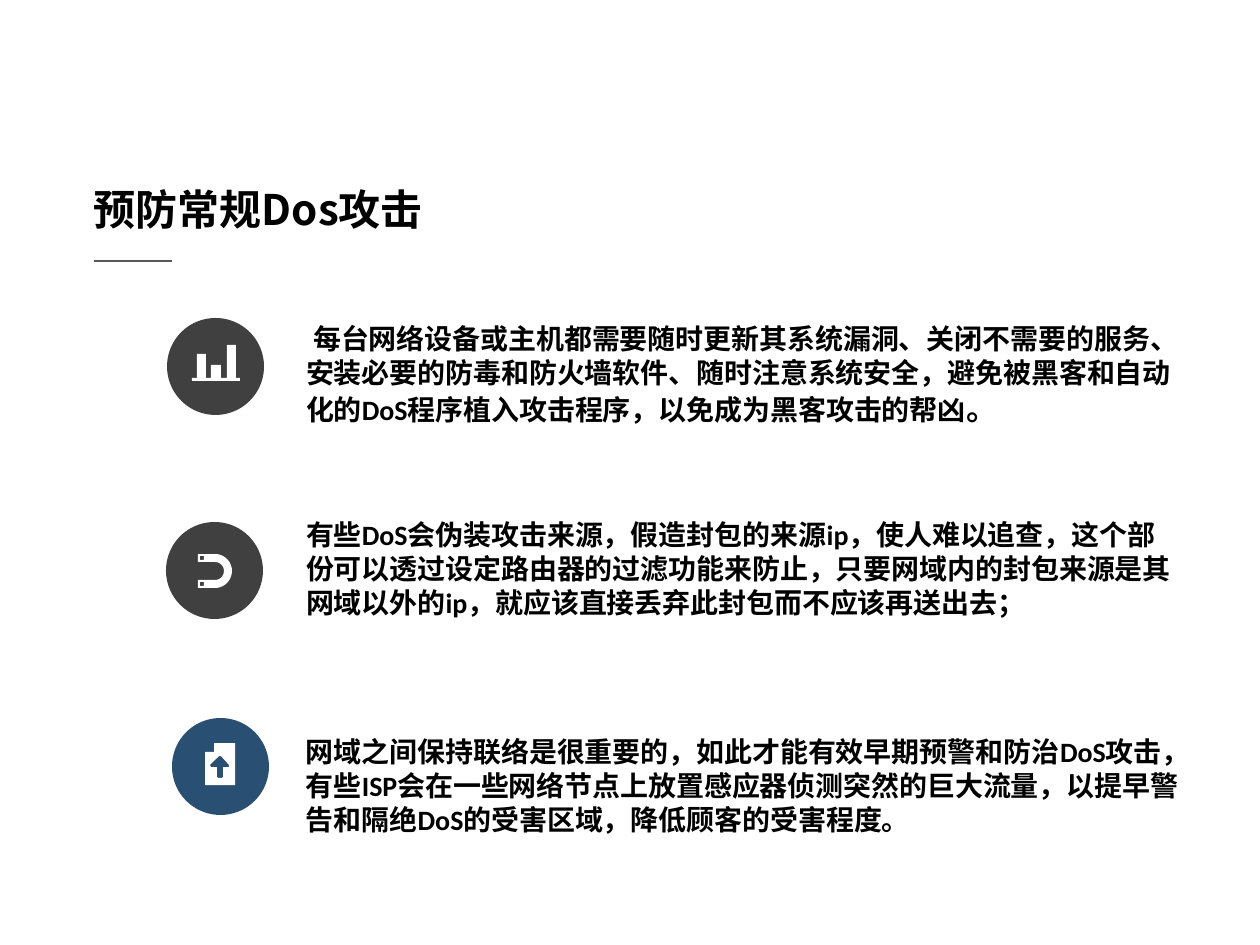
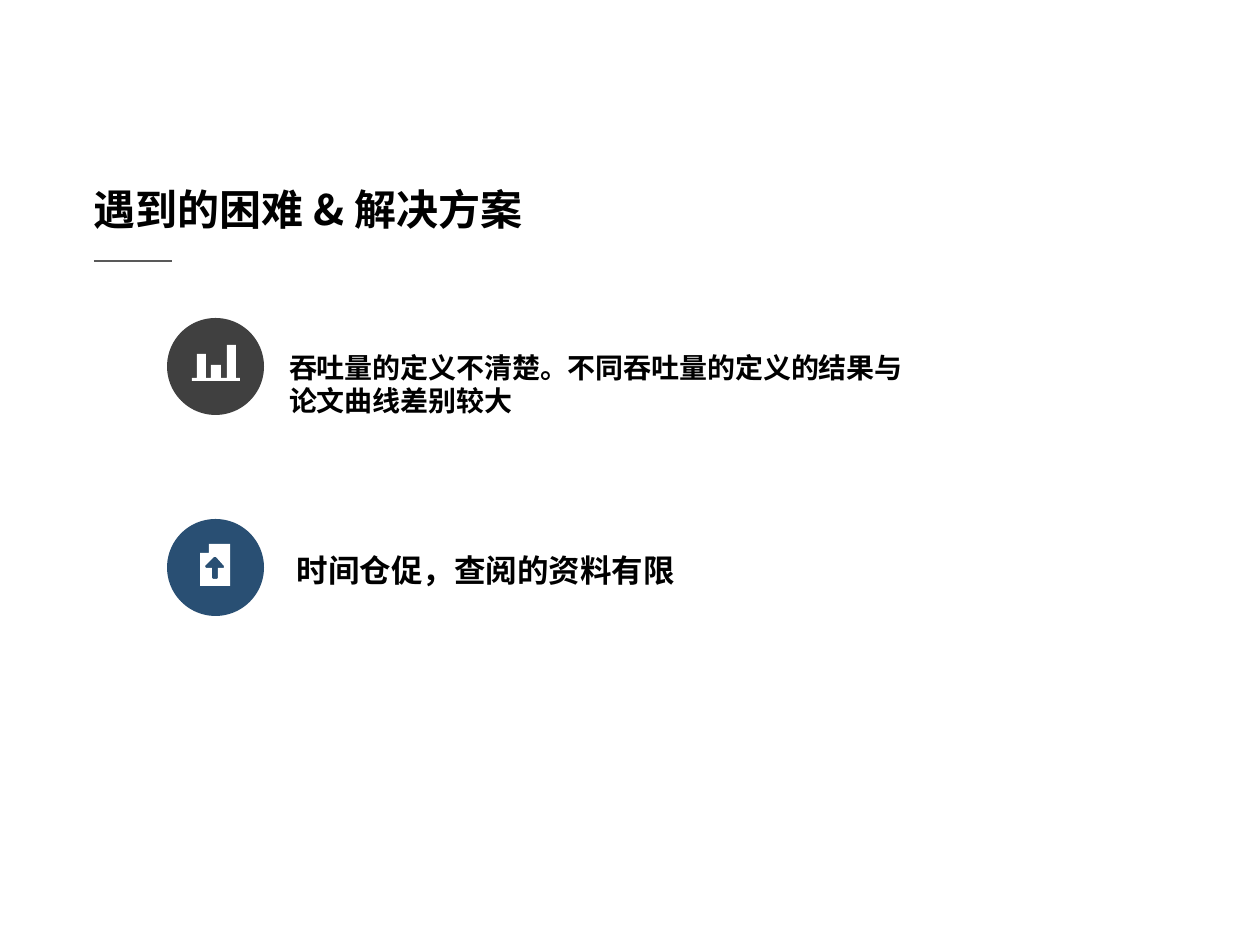
from math import cos, pi, sin

from lxml.etree import SubElement
from pptx import Presentation
from pptx.dml.color import RGBColor
from pptx.enum.shapes import MSO_CONNECTOR, MSO_SHAPE
from pptx.enum.text import MSO_ANCHOR, MSO_AUTO_SIZE, PP_ALIGN
from pptx.oxml.ns import qn
from pptx.util import Emu, Pt

EMU_PER_PIXEL = 914400 / 126
COLORS = {
    "text": "000000",
    "rule": "595959",
    "dark": "404040",
    "blue": "294F73",
    "icon": "FFFFFF",
}
SANS = "Noto Sans CJK SC"
LATIN = "Calibri"
DISC = 97


def px(length):
    """Turn pixels into EMU."""
    return Emu(round(length * EMU_PER_PIXEL))


def color(name):
    """Look up a colour of the palette."""
    return RGBColor.from_string(COLORS[name])


def arc(center, radius, start, end, steps=24):
    """Return points along a circle, angles in radians."""
    x, y = center
    angles = [start + (end - start) * i / steps for i in range(steps + 1)]
    return [(x + radius * cos(a), y + radius * sin(a)) for a in angles]


def rectangle(left, top, right, bottom):
    """Return the corners of a rectangle."""
    return [(left, top), (right, top), (right, bottom), (left, bottom)]


# Each icon: its offset inside the disc, and its outlines (later ones are holes).
BARS = ((25, 27), [[
    (44, 33), (44, 0), (35, 0), (35, 33), (29, 33), (29, 20), (19, 20), (19, 33),
    (14, 33), (14, 9), (5, 9), (5, 33), (0, 33), (0, 36), (48, 36), (48, 33),
]])
MAGNET = ((32, 32), [
    [(0, 0), *arc((17, 17), 17, -pi / 2, pi / 2), (0, 34),
     (0, 26), *arc((17, 17), 9, pi / 2, -pi / 2), (0, 8)],
    rectangle(2, 2, 6, 6),
    rectangle(2, 28, 6, 32),
])
UPLOAD = ((33, 25), [
    [(9, 0), (30, 0), (30, 42), (0, 42), (0, 9), (9, 9)],
    [(14, 13), (16, 13), (24, 22), (24, 24), (18, 24), (18, 34), (17, 35),
     (13, 35), (12, 34), (12, 24), (6, 24), (5, 22)],
])


def add_span(para, text, size=16, font=SANS, bold=True, fill="text"):
    """Add a formatted run to a paragraph."""
    span = para.add_run()
    span.text = text
    span.font.size = Pt(size)
    span.font.name = font
    span.font.bold = bold
    span.font.color.rgb = color(fill)
    east_asian = SubElement(span.font._element, qn("a:ea"))
    east_asian.set("typeface", SANS)


class Painter:
    """Holds the deck, its style and the current slide."""

    def __init__(self):
        """Start a deck of 10 by 7.5 inches."""
        self.deck = Presentation()
        self.deck.slide_width, self.deck.slide_height = px(1260), px(945)
        self.page = None

    def new_page(self, title):
        """Add a blank slide with the shared title and rule."""
        self.page = self.deck.slides.add_slide(self.deck.slide_layouts[6])
        self.text(86, 179, 822, 58, [(title, 24)], inset=(8, 4))
        self.rule(94, 172, 261)

    def text(self, left, top, width, height, spans, font=SANS, inset=(0, 0)):
        """Add a text box holding one paragraph of (text, size) spans."""
        box = self.page.shapes.add_textbox(px(left), px(top), px(width), px(height))
        frame = box.text_frame
        frame.word_wrap = True
        frame.auto_size = MSO_AUTO_SIZE.SHAPE_TO_FIT_TEXT
        frame.vertical_anchor = MSO_ANCHOR.TOP
        frame.margin_left = frame.margin_right = px(inset[0])
        frame.margin_top = frame.margin_bottom = px(inset[1])
        para = frame.paragraphs[0]
        para.alignment = PP_ALIGN.LEFT
        for words, size in spans:
            add_span(para, words, size=size, font=font)

    def rule(self, left, right, y):
        """Add the thin line below the title."""
        line = self.page.shapes.add_connector(
            MSO_CONNECTOR.STRAIGHT, px(left), px(y), px(right), px(y))
        line.line.color.rgb = color("rule")
        line.line.width = Pt(0.75)
        SubElement(line._element.spPr, qn("a:effectLst"))

    def paint(self, shape, fill):
        """Give a shape a plain fill without line or shadow."""
        shape.shadow.inherit = False
        shape.fill.solid()
        shape.fill.fore_color.rgb = color(fill)
        shape.line.fill.background()

    def badge(self, left, top, icon, fill):
        """Add a disc with a white icon on it."""
        disc = self.page.shapes.add_shape(
            MSO_SHAPE.FLOWCHART_CONNECTOR, px(left), px(top), px(DISC), px(DISC))
        self.paint(disc, fill)
        (dx, dy), outlines = icon
        placed = [[(px(left + dx + x), px(top + dy + y)) for x, y in outline]
                  for outline in outlines]
        builder = self.page.shapes.build_freeform(*placed[0][0], scale=1.0)
        for index, outline in enumerate(placed):
            if index:
                builder.move_to(*outline[0])
            builder.add_line_segments(outline[1:], close=True)
        self.paint(builder.convert_to_shape(), "icon")


def prevention_page(painter):
    """Build the slide on preventing common attacks."""
    painter.new_page("预防常规Dos攻击")
    painter.badge(172, 718, UPLOAD, "blue")
    painter.badge(167, 318, BARS, "dark")
    painter.badge(166, 522, MAGNET, "dark")
    updates = ("每台网络设备或主机都需要随时更新其系统漏洞、关闭不需要的服务、"
               "安装必要的防毒和防火墙软件、随时注意系统安全，避免被黑客和自动"
               "化的DoS程序植入攻击程序，以免成为黑客攻击的帮凶")
    filtering = ("有些DoS会伪装攻击来源，假造封包的来源ip，使人难以追查，这个"
                 "部份可以透过设定路由器的过滤功能来防止，只要网域内的封包来源是"
                 "其网域以外的ip，就应该直接丢弃此封包而不应该再送出去；")
    contact = ("网域之间保持联络是很重要的，如此才能有效早期预警和防治DoS攻击，"
               "有些ISP会在一些网络节点上放置感应器侦测突然的巨大流量，以提早"
               "警告和隔绝DoS的受害区域，降低顾客的受害程度。")
    painter.text(306, 318, 873, 111, [(" ", 18), (updates, 16), ("。", 18)], font=LATIN)
    painter.text(306, 735, 882, 102, [(contact, 16)], font=LATIN)
    painter.text(306, 518, 873, 102, [(filtering, 16)], font=LATIN)


def difficulties_page(painter):
    """Build the slide on difficulties and solutions."""
    painter.new_page("遇到的困难 & 解决方案")
    painter.badge(167, 318, BARS, "dark")
    painter.text(289, 350, 634, 68,
                 [("吞吐量的定义不清楚。不同吞吐量的定义的结果与论文曲线差别较大", 16)])
    painter.text(297, 551, 564, 38, [("时间仓促，查阅的资料有限", 18)])
    painter.badge(167, 519, UPLOAD, "blue")


def main():
    """Build and save the deck."""
    painter = Painter()
    prevention_page(painter)
    difficulties_page(painter)
    painter.deck.save("out.pptx")


main()
